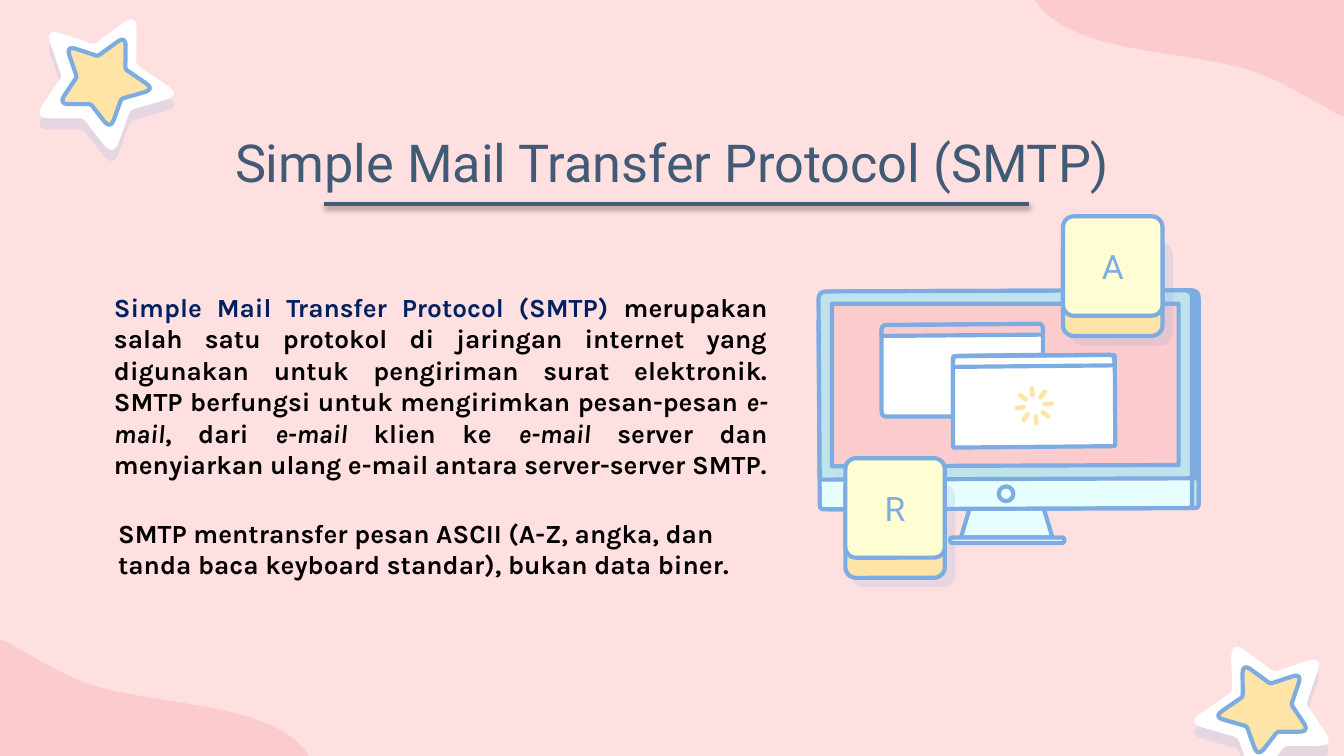
from dataclasses import dataclass
from math import cos, dist, radians, sin
from typing import NamedTuple, Optional

from lxml.etree import SubElement
from pptx import Presentation
from pptx.dml.color import RGBColor
from pptx.enum.shapes import MSO_CONNECTOR, MSO_SHAPE as Preset
from pptx.enum.text import MSO_ANCHOR as Anchor, MSO_AUTO_SIZE as AutoSize, PP_ALIGN as Align
from pptx.oxml.ns import qn
from pptx.util import Pt


@dataclass(frozen=True)
class Theme:
    background: str = "FFE0E1"
    pink: str = "FCCBCD"
    white: str = "FFFFFF"
    yellow: str = "FEE4A7"
    cream: str = "FFFDD1"
    blue: str = "7CACE1"
    ice: str = "E7FFFF"
    frame: str = "BFE2EC"
    slate: str = "415A75"
    navy: str = "002060"
    black: str = "000000"
    heading_font: str = "Roboto"
    body_font: str = "Karla"
    title_size: float = 28
    key_size: float = 18
    body_size: float = 14
    outline: float = 2.25
    rule: float = 2


THEME = Theme()
WIDTH, HEIGHT = 720, 405


class Shadow(NamedTuple):
    color: str
    opacity: int
    blur: float
    distance: float
    angle: int


class Corner(NamedTuple):
    x: float
    y: float
    cut: float = 0


class Panel(NamedTuple):
    corners: list
    fill: Optional[str]


class Words(NamedTuple):
    text: str
    color: str = THEME.black
    italic: bool = False


class Key(NamedTuple):
    letter: str
    left: float
    top: float


STAR_SHADOW = Shadow(THEME.blue, 19, 0, 6, 90)
KEY_SHADOW = Shadow(THEME.blue, 18, 0, 6, 42)
RULE_SHADOW = Shadow(THEME.black, 38, 3.1, 1.6, 90)

TIPS = [(73.4, 7), (24.2, 15.1), (18, 63.4), (60.8, 84.2), (97.2, 51.1)]
VALLEYS = [(50.4, 23.8), (33.1, 41), (44.6, 63.4), (69.8, 59), (73.1, 34.6)]
STAR_CENTER = (56.2, 41.8)
WAVE = [
    [(554.4, 0), (559.4, 9.4), (573.8, 18), (594, 23)],
    [(594, 23), (617, 28.8), (647.3, 31), (668.9, 37.4)],
    [(668.9, 37.4), (686.9, 43.2), (697.7, 51.1), (710.6, 57.6)],
    [(710.6, 57.6), (713.5, 59.8), (716.4, 61.2), (720, 62.6)],
]

BASE = [Corner(638.6, 171.4), Corner(438.5, 172), Corner(439.2, 272.9, 2.2), Corner(638.6, 272.2, 2.2)]
SHELL = [Corner(638.6, 155.5, 4.3), Corner(438.5, 156.2, 4.3), Corner(439.2, 257), Corner(638.6, 256.3)]
BACK_TOP = [Corner(558.7, 173.5, 2.9), Corner(472.3, 174.2, 2.9)]
FRONT_TOP = [Corner(597, 190.1, 2.9), Corner(510.5, 190.8, 2.9)]


def side(corners: list) -> list:
    """Shift a front outline right to show the monitor's thickness."""
    return [Corner(c.x + 3.6, c.y, c.cut) for c in corners]


MONITOR = [
    Panel([Corner(558, 268.6), Corner(520.6, 268.6), Corner(514.8, 288), Corner(563.8, 288)], THEME.ice),
    Panel([Corner(570.2, 288, 1.4), Corner(509, 288, 1.4), Corner(509, 290.9, 1.4),
           Corner(570.2, 290.9, 1.4)], THEME.ice),
    Panel(side(BASE), THEME.frame),
    Panel(side(SHELL), THEME.blue),
    Panel(BASE, THEME.ice),
    Panel(SHELL, THEME.frame),
    Panel([Corner(631.4, 162.7), Corner(445.7, 162.7), Corner(445.7, 249.8), Corner(631.4, 249.1)], THEME.pink),
    Panel(BACK_TOP + [Corner(472.3, 223.2, 2.9), Corner(510.5, 223.2), Corner(510.5, 190.8, 2.9),
                      Corner(558.7, 190.1)], THEME.white),
    Panel(BACK_TOP + [Corner(472.3, 180), Corner(558.7, 179.3)], THEME.pink),
    Panel([Corner(597.2, 190.1, 1), Corner(510.5, 190.8, 1), Corner(510.5, 239.8, 1),
           Corner(597.5, 239, 1)], THEME.white),
    Panel(FRONT_TOP + [Corner(510.5, 196.6), Corner(597, 195.8)], None),
]
KEYS = [Key("R", 452.9, 245.5), Key("A", 569.5, 115.9)]

BODY = [
    Words("Simple Mail Transfer Protocol (SMTP) ", THEME.navy),
    Words("merupakan salah satu protokol di jaringan internet yang digunakan untuk pengiriman surat "
          "elektronik. SMTP berfungsi untuk mengirimkan pesan-pesan "),
    Words("e-mail", italic=True),
    Words(", dari "),
    Words("e-mail ", italic=True),
    Words("klien ke "),
    Words("e-mail", italic=True),
    Words(" server dan menyiarkan ulang e-mail antara server-server SMTP."),
]
NOTE = [Words("SMTP mentransfer pesan ASCII (A-Z, angka, dan tanda baca keyboard standar), bukan data biner.")]


def between(start: tuple, end: tuple, t: float) -> tuple:
    return start[0] + (end[0] - start[0]) * t, start[1] + (end[1] - start[1]) * t


def bezier(controls: list, steps: int = 8) -> list:
    """Points along a Bézier curve of any degree."""
    points = []
    for step in range(steps + 1):
        level = controls
        while len(level) > 1:
            level = [between(a, b, step / steps) for a, b in zip(level, level[1:])]
        points.append(level[0])
    return points


def rounded(corners: list) -> list:
    """Points of a polygon whose corners are cut and curved."""
    points = []
    for index, corner in enumerate(corners):
        here = (corner.x, corner.y)
        if not corner.cut:
            points.append(here)
            continue
        ends = [between(here, other[:2], corner.cut / dist(here, other[:2]))
                for other in (corners[index - 1], corners[(index + 1) % len(corners)])]
        points += bezier([ends[0], here, ends[1]])
    return points


def style(shape, fill: Optional[str], line: Optional[str] = None, shadow: Optional[Shadow] = None) -> None:
    shape.shadow.inherit = False
    if fill:
        shape.fill.solid()
        shape.fill.fore_color.rgb = RGBColor.from_string(fill)
    else:
        shape.fill.background()
    if line:
        shape.line.color.rgb = RGBColor.from_string(line)
        shape.line.width = Pt(THEME.outline)
    else:
        shape.line.fill.background()
    if shadow:
        cast_shadow(shape._element.spPr.find(qn("a:effectLst")), shadow)


def cast_shadow(effects, shadow: Shadow) -> None:
    outer = SubElement(effects, qn("a:outerShdw"), blurRad=str(Pt(shadow.blur)), dist=str(Pt(shadow.distance)),
                       dir=str(shadow.angle * 60000), algn="bl", rotWithShape="0")
    color = SubElement(outer, qn("a:srgbClr"), val=shadow.color)
    SubElement(color, qn("a:alpha"), val=str(shadow.opacity * 1000))


def draw_outline(shapes, points: list, fill: Optional[str], line: Optional[str] = None,
                 shadow: Optional[Shadow] = None) -> None:
    vertices = [(Pt(x), Pt(y)) for x, y in points]
    builder = shapes.build_freeform(*vertices[0])
    builder.add_line_segments(vertices[1:], close=True)
    style(builder.convert_to_shape(), fill, line, shadow)


def draw_preset(shapes, preset: Preset, left: float, top: float, width: float, height: float):
    return shapes.add_shape(preset, Pt(left), Pt(top), Pt(width), Pt(height))


def draw_star(shapes, mirrored: bool) -> None:
    corners = [Corner(*point, cut) for pair in zip(TIPS, VALLEYS) for point, cut in zip(pair, (9, 2))]
    outer = rounded(corners)
    if mirrored:
        outer = [(733 - x, y + 336.2) for x, y in outer]
    center = (733 - STAR_CENTER[0], STAR_CENTER[1] + 336.2) if mirrored else STAR_CENTER
    draw_outline(shapes, outer, THEME.white, shadow=STAR_SHADOW)
    draw_outline(shapes, [between(center, point, 0.65) for point in outer], THEME.yellow, THEME.blue)


def draw_monitor(shapes) -> None:
    for panel in MONITOR:
        draw_outline(shapes, rounded(panel.corners), panel.fill, THEME.blue)
    style(draw_preset(shapes, Preset.OVAL, 535, 260.6, 7.9, 7.9), THEME.ice, THEME.blue)
    for turn in range(8):
        angle = 45 * turn - 8
        x, y = 554 + 7.6 * cos(radians(angle)), 217.4 + 7.6 * sin(radians(angle))
        dash = draw_preset(shapes, Preset.ROUNDED_RECTANGLE, x - 3, y - 1.2, 6, 2.4)
        dash.adjustments[0] = 0.5
        dash.rotation = angle % 360
        style(dash, THEME.yellow)


def draw_key(shapes, key: Key) -> None:
    for drop, fill, shadow in ((10.8, THEME.yellow, KEY_SHADOW), (0, THEME.cream, None)):
        cap = draw_preset(shapes, Preset.ROUNDED_RECTANGLE, key.left, key.top + drop, 53.3, 53.3)
        cap.adjustments[0] = 0.108
        style(cap, fill, THEME.blue, shadow)
    cap.text_frame.vertical_anchor = Anchor.MIDDLE
    write(cap.text_frame, [Words(key.letter, THEME.blue)], THEME.heading_font, THEME.key_size, Align.CENTER)


def write(frame, words: list, font: str, size: float, align: Align, bold: bool = False) -> None:
    paragraph = frame.paragraphs[0]
    paragraph.alignment = align
    for piece in words:
        run = paragraph.add_run()
        run.text = piece.text
        run.font.name, run.font.size = font, Pt(size)
        run.font.bold, run.font.italic = bold, piece.italic
        run.font.color.rgb = RGBColor.from_string(piece.color)


def add_frame(shapes, left: float, top: float, width: float, height: float):
    frame = shapes.add_textbox(Pt(left), Pt(top), Pt(width), Pt(height)).text_frame
    frame.word_wrap = True
    return frame


def main() -> None:
    presentation = Presentation()
    presentation.slide_width, presentation.slide_height = Pt(WIDTH), Pt(HEIGHT)
    slide = presentation.slides.add_slide(presentation.slide_layouts[6])
    slide.background.fill.solid()
    slide.background.fill.fore_color.rgb = RGBColor.from_string(THEME.background)
    shapes = slide.shapes

    wave = [point for curve in WAVE for point in bezier(curve)] + [(WIDTH, 0)]
    draw_outline(shapes, wave, THEME.pink)
    draw_outline(shapes, [(WIDTH - x, HEIGHT - y) for x, y in wave], THEME.pink)
    for mirrored in (False, True):
        draw_star(shapes.add_group_shape().shapes, mirrored)

    title = add_frame(shapes, 56.2, 62.6, 607.7, 45.4)
    title.margin_top = title.margin_bottom = Pt(7.2)
    write(title, [Words("Simple Mail Transfer Protocol (SMTP)", THEME.slate)],
          THEME.heading_font, THEME.title_size, Align.CENTER)

    draw_monitor(shapes.add_group_shape().shapes)
    for key in KEYS:
        draw_key(shapes.add_group_shape().shapes, key)

    for words, box, align in ((BODY, (54, 152.6, 364.3, 108.7), Align.JUSTIFY),
                              (NOTE, (56.2, 273.6, 357.1, 41), Align.LEFT)):
        frame = add_frame(shapes, *box)
        frame.auto_size = AutoSize.SHAPE_TO_FIT_TEXT
        write(frame, words, THEME.body_font, THEME.body_size, align, bold=True)

    rule = shapes.add_connector(MSO_CONNECTOR.STRAIGHT, Pt(173.5), Pt(109.4), Pt(551.5), Pt(109.4))
    rule.line.color.rgb = RGBColor.from_string(THEME.slate)
    rule.line.width = Pt(THEME.rule)
    cast_shadow(SubElement(rule._element.spPr, qn("a:effectLst")), RULE_SHADOW)
    presentation.save("out.pptx")


if __name__ == "__main__":
    main()
